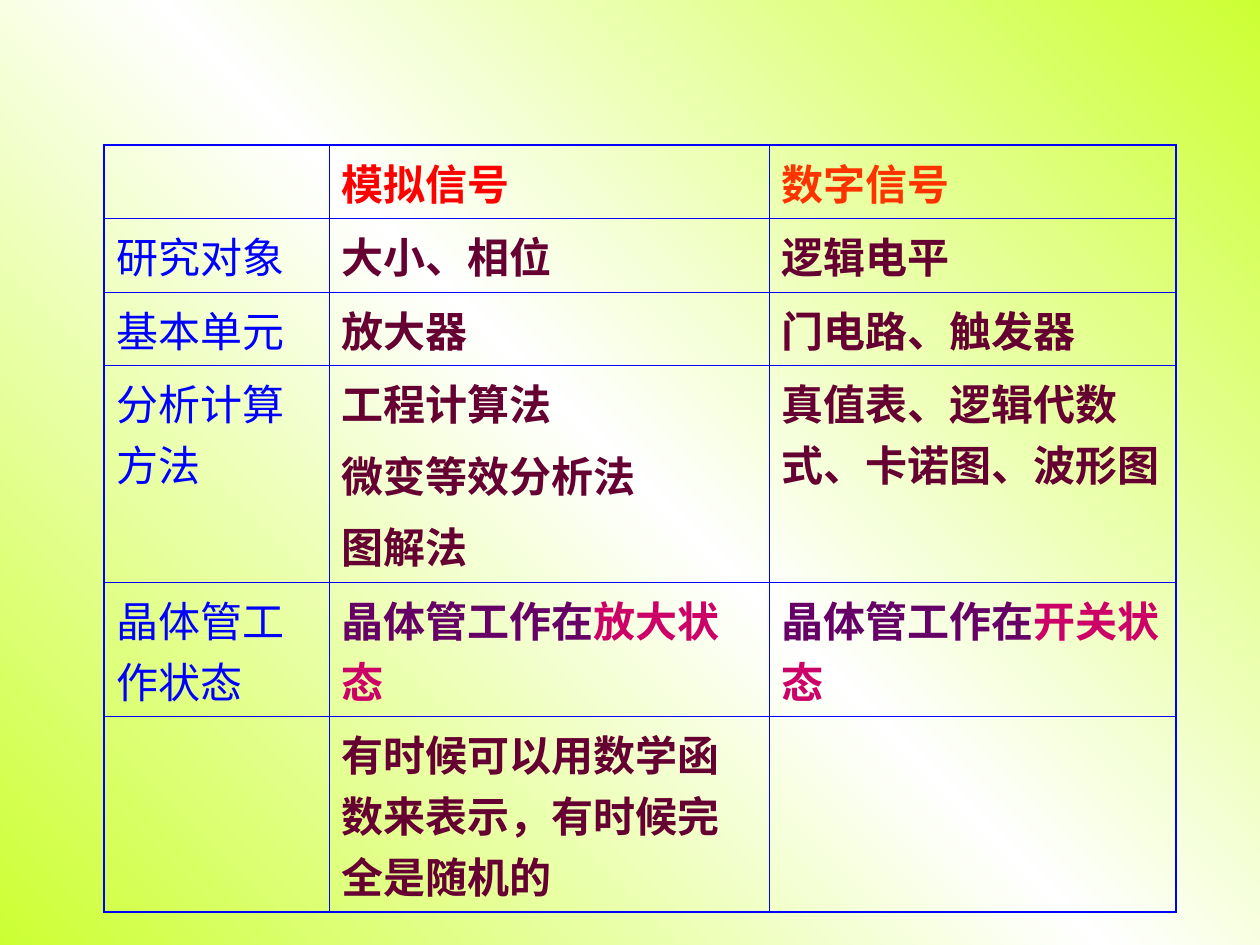
from copy import deepcopy

from lxml.etree import SubElement
from pptx import Presentation
from pptx.dml.color import RGBColor as RGB
from pptx.oxml.ns import qn
from pptx.util import Pt

EMU_PER_PX = 914400 / 126
LIME = RGB(0xCC, 0xFF, 0x33)
WHITE = RGB(0xFF, 0xFF, 0xFF)
BLUE = RGB(0x00, 0x00, 0xFF)
RED = RGB(0xFF, 0x00, 0x00)
ORANGE = RGB(0xFF, 0x33, 0x00)
MAROON = RGB(0x66, 0x00, 0x33)
PURPLE = RGB(0x66, 0x00, 0x66)
MAGENTA = RGB(0xCC, 0x00, 0x66)

COLUMN_WIDTHS = [225, 440, 407]
ROW_HEIGHTS = [63, 63, 63, 185, 125, 165]
WORKS_IN = ("晶体管工作在", PURPLE)
COMPARISON = [
    [[], [[("模拟信号", RED)]], [[("数字信号", ORANGE)]]],
    [[[("研究对象", BLUE)]], [[("大小、相位", MAROON)]], [[("逻辑电平", MAROON)]]],
    [[[("基本单元", BLUE)]], [[("放大器", MAROON)]], [[("门电路、触发器", MAROON)]]],
    [
        [[("分析计算方法", BLUE)]],
        [[(method, MAROON)] for method in ("工程计算法", "微变等效分析法", "图解法")],
        [[("真值表、逻辑代数式、卡诺图、波形图", MAROON)]],
    ],
    [
        [[("晶体管工作状态", BLUE)]],
        [[WORKS_IN, ("放大状态", MAGENTA)]],
        [[WORKS_IN, ("开关状态", MAGENTA)]],
    ],
    [[], [[("有时候可以用数学函数来表示，有时候完全是随机的", MAROON)]], []],
]


def px(length):
    return round(length * EMU_PER_PX)


class SlideBuilder:
    """Draws elements in one shared style on the current slide."""

    font_name = "Lato"
    font_size = Pt(24)
    space_before = Pt(6)
    outer_line = Pt(1.08)
    inner_line = Pt(0.45)

    def __init__(self, slide):
        self.slide = slide

    def background(self, edge, middle):
        fill = self.slide.background.fill
        fill.gradient()
        fill.gradient_angle = 225
        first, second = fill.gradient_stops
        first.color.rgb, first.position = edge, 0
        second.color.rgb, second.position = middle, 0.5
        stops = self.slide.element.find(".//" + qn("a:gsLst"))
        last = deepcopy(stops[0])
        last.set("pos", "100000")
        stops.append(last)

    def table(self, left, top, widths, heights, rows):
        frame = self.slide.shapes.add_table(
            len(heights), len(widths), px(left), px(top), px(sum(widths)), px(sum(heights))
        )
        table = frame.table
        table.first_row = table.horz_banding = False
        for column, width in zip(table.columns, widths):
            column.width = px(width)
        for row, height in zip(table.rows, heights):
            row.height = px(height)
        last_row, last_column = len(heights) - 1, len(widths) - 1
        for r, row in enumerate(rows):
            for c, paragraphs in enumerate(row):
                cell = table.cell(r, c)
                outer_sides = {"L": c == 0, "R": c == last_column, "T": r == 0, "B": r == last_row}
                self.borders(cell, outer_sides)
                cell.fill.background()
                self.cell_text(cell, paragraphs, bold=c > 0)

    def borders(self, cell, outer_sides):
        properties = cell._tc.get_or_add_tcPr()
        for side, is_outer in outer_sides.items():
            width = self.outer_line if is_outer else self.inner_line
            line = SubElement(properties, qn(f"a:ln{side}"), w=str(width))
            SubElement(SubElement(line, qn("a:solidFill")), qn("a:srgbClr"), val=str(BLUE))

    def cell_text(self, cell, paragraphs, bold):
        frame = cell.text_frame
        frame.text = "\n".join("".join(text for text, _ in parts) for parts in paragraphs)
        for paragraph, parts in zip(frame.paragraphs, paragraphs):
            paragraph.space_before = self.space_before
            paragraph._p.get_or_add_pPr().set("hangingPunct", "0")
            paragraph.text = parts[0][0]
            for text, _ in parts[1:]:
                paragraph.add_run().text = text
            for run, (_, color) in zip(paragraph.runs, parts):
                run.font.name = self.font_name
                run.font.size = self.font_size
                run.font.bold = bold
                run.font.color.rgb = color


def main():
    deck = Presentation()
    deck.slide_width, deck.slide_height = px(1260), px(945)
    builder = SlideBuilder(deck.slides.add_slide(deck.slide_layouts[6]))
    builder.background(LIME, WHITE)
    builder.table(104, 145, COLUMN_WIDTHS, ROW_HEIGHTS, COMPARISON)
    deck.save("out.pptx")


if __name__ == "__main__":
    main()
